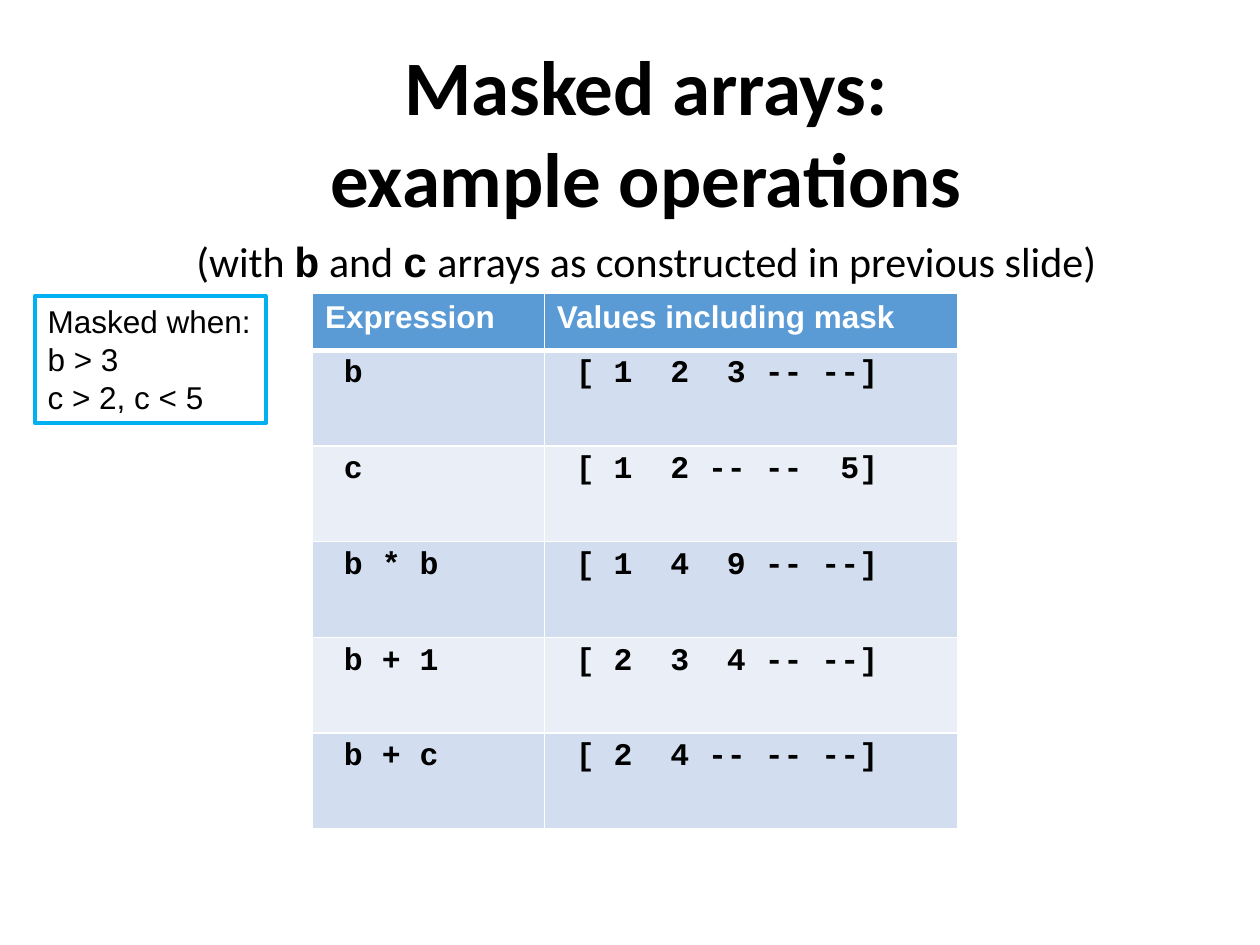
from pptx import Presentation
from pptx.dml.color import RGBColor
from pptx.enum.shapes import MSO_SHAPE as Shape
from pptx.enum.text import MSO_ANCHOR as Anchor, MSO_AUTO_SIZE as AutoSize, PP_ALIGN as Align
from pptx.oxml import parse_xml
from pptx.oxml.ns import nsdecls
from pptx.util import Inches, Pt

COLORS = {
    "text": "000000",
    "white": "FFFFFF",
    "header": "5B9BD5",
    "band_dark": "D2DEEF",
    "band_light": "EAEFF7",
    "note_line": "00B0F0",
}
SANS, HEADING, CODE = "Arial", "Calibri", "Courier New"


def rgb(name):
    return RGBColor.from_string(COLORS[name])


class SlideBuilder:
    def __init__(self, page):
        self.page = page

    def span(self, para, text, font, size, bold=False, color="text"):
        span = para.add_run()
        span.text = text
        span.font.name = font
        span.font.size = Pt(size)
        span.font.bold = bold
        span.font.color.rgb = rgb(color)

    def title(self, lines, left, top, width, height):
        box = self.page.shapes.title
        box.left, box.top = Inches(left), Inches(top)
        box.width, box.height = Inches(width), Inches(height)
        frame = box.text_frame
        frame.auto_size = AutoSize.NONE
        frame.vertical_anchor = Anchor.MIDDLE
        para = frame.paragraphs[0]
        para.alignment = Align.CENTER
        for index, line in enumerate(lines):
            if index:
                para.add_line_break()
            self.span(para, line, HEADING, 44, bold=True)

    def subtitle(self, parts, left, top, width, height):
        box = self.page.shapes.add_textbox(
            Inches(left), Inches(top), Inches(width), Inches(height))
        frame = box.text_frame
        frame.word_wrap = True
        frame.margin_left = frame.margin_right = 0
        frame.margin_top = frame.margin_bottom = 0
        para = frame.paragraphs[0]
        para.alignment = Align.CENTER
        para.line_spacing = 1.03
        for text, is_code in parts:
            self.span(para, text, CODE if is_code else HEADING, 24, bold=is_code)

    def note(self, lines, left, top, width, height):
        box = self.page.shapes.add_shape(
            Shape.RECTANGLE, Inches(left), Inches(top), Inches(width), Inches(height))
        box.shadow.inherit = False
        box.fill.background()
        box.line.color.rgb = rgb("note_line")
        box.line.width = Pt(2.25)
        frame = box.text_frame
        frame.word_wrap = False
        frame.auto_size = AutoSize.SHAPE_TO_FIT_TEXT
        frame.vertical_anchor = Anchor.TOP
        for index, line in enumerate(lines):
            para = frame.add_paragraph() if index else frame.paragraphs[0]
            para.alignment = Align.LEFT
            self.span(para, line, SANS, 18)

    def borders(self, cell, bottom):
        properties = cell._tc.get_or_add_tcPr()
        widths = {"lnL": 1, "lnR": 1, "lnT": 1, "lnB": bottom}
        # Borders come before the fill in the cell properties
        for index, (side, width) in enumerate(widths.items()):
            properties.insert(index, parse_xml(
                f'<a:{side} {nsdecls("a")} w="{Pt(width)}"><a:solidFill>'
                f'<a:srgbClr val="{COLORS["white"]}"/></a:solidFill></a:{side}>'))

    def table(self, rows, left, top, widths, header_height, row_height):
        heights = [header_height] + [row_height] * (len(rows) - 1)
        table = self.page.shapes.add_table(
            len(rows), len(widths), Inches(left), Inches(top),
            Inches(sum(widths)), Inches(sum(heights))).table
        for column, width in zip(table.columns, widths):
            column.width = Inches(width)
        for number, (row, height, texts) in enumerate(zip(table.rows, heights, rows)):
            row.height = Inches(height)
            if number == 0:
                fill, font, color = "header", SANS, "white"
            else:
                fill = "band_dark" if number % 2 else "band_light"
                font, color = CODE, "text"
            for cell, text in zip(row.cells, texts):
                cell.fill.solid()
                cell.fill.fore_color.rgb = rgb(fill)
                # The header has a thick rule below it
                self.borders(cell, bottom=1 if number else 3)
                if number == 1:
                    cell._tc.tcPr.find("{*}lnT").set("w", str(Pt(3)))
                self.span(cell.text_frame.paragraphs[0], text, font, 18, True, color)


def main():
    deck = Presentation()
    deck.slide_width, deck.slide_height = Inches(10), Inches(7.5)
    title_only = deck.slide_layouts[5]
    builder = SlideBuilder(deck.slides.add_slide(title_only))

    # Heading
    builder.title(["Masked arrays:", "example operations"], 0.63, 0.3, 9, 1.48)
    builder.subtitle(
        [("(with ", False), ("b", True), (" and ", False), ("c", True),
         (" arrays as constructed in previous slide)", False)],
        0.63, 1.86, 9, 0.42)

    # Expressions and their masked results
    builder.table(
        [("Expression", "Values including mask"),
         (" b", " [ 1  2  3 -- --]"),
         (" c", " [ 1  2 -- --  5]"),
         (" b * b", " [ 1  4  9 -- --]"),
         (" b + 1", " [ 2  3  4 -- --]"),
         (" b + c", " [ 2  4 -- -- --]")],
        2.48, 2.33, widths=[1.84, 3.28], header_height=0.45, row_height=0.76)

    # Mask conditions
    builder.note(["Masked when:", "b > 3", "c > 2, c < 5"], 0.28, 2.35, 1.83, 1.01)

    deck.save("out.pptx")


if __name__ == "__main__":
    main()
